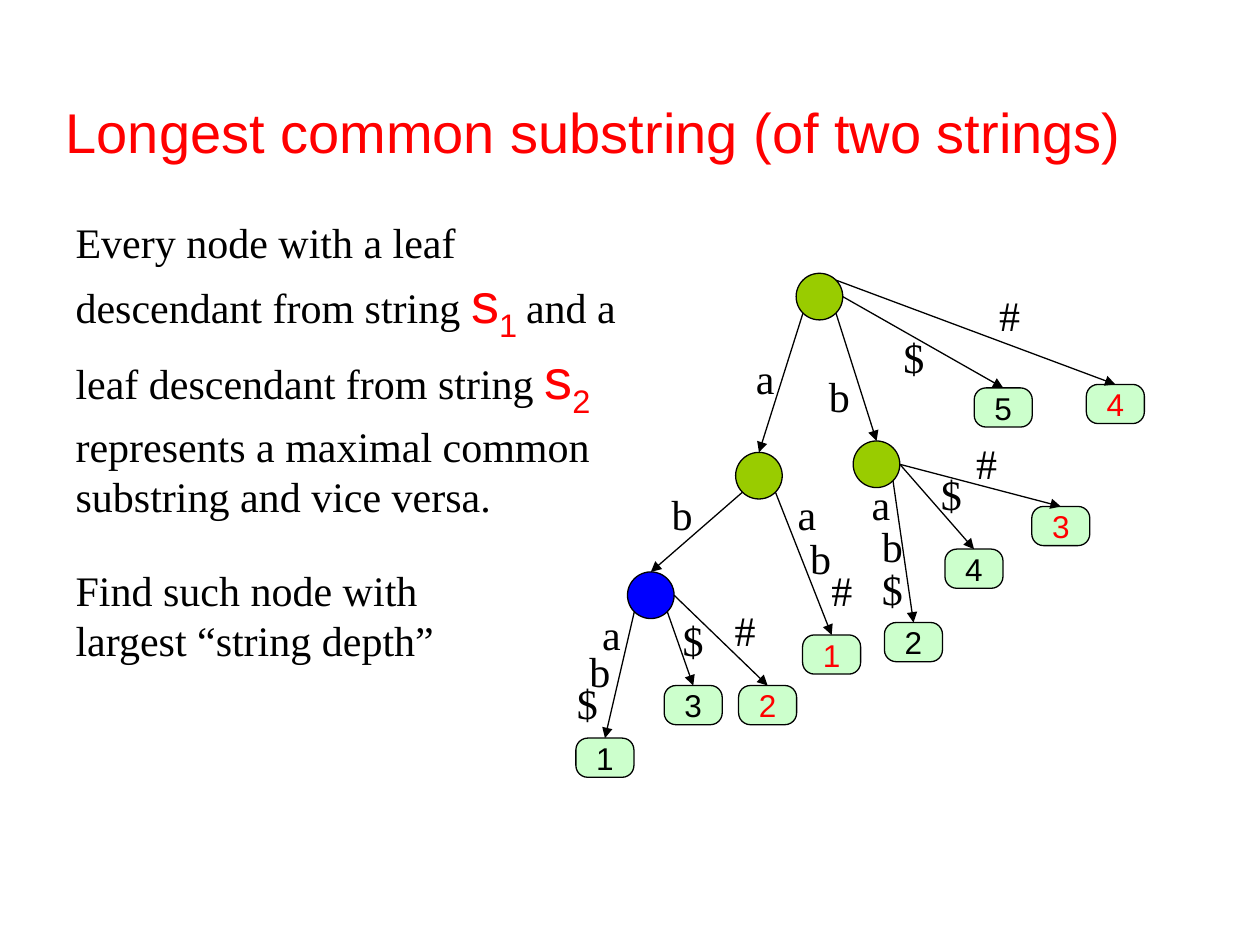
from dataclasses import dataclass
from math import cos, radians, sin

from lxml import etree
from pptx import Presentation
from pptx import util as u
from pptx.dml import color
from pptx.enum import shapes, text
from pptx.oxml import ns


@dataclass(frozen=True)
class Theme:
    sans: str = "Arial"
    serif: str = "Times New Roman"
    ink: str = "000000"
    accent: str = "FF0000"
    inner: str = "99CC00"
    deepest: str = "0000FF"
    leaf: str = "CCFFCC"
    title_size: int = 32
    body_size: int = 24
    leaf_size: int = 18
    line_width: float = 0.75


@dataclass(frozen=True)
class Box:
    left: float
    top: float
    width: float
    height: float

    def inside(self, left, top, width, height):
        return Box(self.left + left, self.top + top, width, height)

    def lengths(self):
        return [u.Cm(value) for value in (self.left, self.top, self.width, self.height)]


THEME = Theme()
NODE_SIZE = 0.94
LEAF_WIDTH, LEAF_HEIGHT = 1.17, 0.79
LABEL_WIDTH, LABEL_HEIGHT = 1.07, 1.27
RIGHT, LOWER_RIGHT, LOWER_LEFT, UPPER_RIGHT = 0, 45, 135, -45

INNER_NODES = {
    "root": (4.67, 0, THEME.inner),
    "a": (3.45, 3.61, THEME.inner),
    "b": (5.82, 3.38, THEME.inner),
    "ab": (1.27, 6.02, THEME.deepest),
}
LEAVES = {
    "abab$": (0.23, 9.37, "1", THEME.ink),
    "ab$": (2.01, 8.31, "3", THEME.ink),
    "ab#": (3.51, 8.31, "2", THEME.accent),
    "aab#": (4.8, 7.29, "1", THEME.accent),
    "bab$": (6.45, 7.04, "2", THEME.ink),
    "b$": (7.67, 5.56, "4", THEME.ink),
    "b#": (9.42, 4.7, "3", THEME.accent),
    "$": (8.26, 2.31, "5", THEME.ink),
    "#": (10.52, 2.24, "4", THEME.accent),
}
EDGES = [
    ("root", LOWER_LEFT, "a", [("a", 3.61, 1.47)]),
    ("root", LOWER_RIGHT, "b", [("b", 5.08, 1.83)]),
    ("root", RIGHT, "$", [("$", 6.58, 1.04)]),
    ("root", UPPER_RIGHT, "#", [("#", 8.51, 0.2)]),
    ("a", LOWER_LEFT, "ab", [("b", 1.91, 4.22)]),
    ("a", LOWER_RIGHT, "aab#", [("a", 4.45, 4.22), ("b", 4.7, 5.11), ("#", 5.13, 5.74)]),
    ("b", LOWER_RIGHT, "bab$", [("a", 5.94, 4.01), ("b", 6.15, 4.85), ("$", 6.15, 5.72)]),
    ("b", RIGHT, "b$", [("$", 7.34, 3.81)]),
    ("b", RIGHT, "b#", [("#", 8.05, 3.18)]),
    ("ab", LOWER_LEFT, "abab$", [("a", 0.51, 6.63), ("b", 0.25, 7.37), ("$", 0, 8.03)]),
    ("ab", LOWER_RIGHT, "ab$", [("$", 2.13, 6.76)]),
    ("ab", RIGHT, "ab#", [("#", 3.18, 6.55)]),
]


def rgb(value):
    return color.RGBColor.from_string(value)


def style_run(run, font, size, ink):
    run.font.name = font
    run.font.size = u.Pt(size)
    run.font.color.rgb = rgb(ink)


def place(shape, box):
    shape.left, shape.top, shape.width, shape.height = box.lengths()
    frame = shape.text_frame
    frame.word_wrap = True
    frame.auto_size = text.MSO_AUTO_SIZE.NONE
    frame.vertical_anchor = text.MSO_ANCHOR.TOP


def add_title(slide, box):
    place(slide.shapes.title, box)
    frame = slide.shapes.title.text_frame
    frame.text = "Longest common substring (of two strings)"
    frame.paragraphs[0].alignment = text.PP_ALIGN.LEFT
    style_run(frame.paragraphs[0].runs[0], THEME.sans, THEME.title_size, THEME.accent)


def add_body(placeholder, box, paragraphs):
    place(placeholder, box)
    frame = placeholder.text_frame
    for index, pieces in enumerate(paragraphs):
        paragraph = frame.add_paragraph() if index else frame.paragraphs[0]
        paragraph.space_before = u.Pt(0)
        properties = paragraph._p.get_or_add_pPr()
        properties.set("marL", "0")
        properties.set("indent", "0")
        etree.SubElement(properties, ns.qn("a:buNone"))
        for piece, kind in pieces:
            run = paragraph.add_run()
            run.text = piece
            if kind == "plain":
                style_run(run, THEME.serif, THEME.body_size, THEME.ink)
            else:
                style_run(run, THEME.sans, THEME.title_size, THEME.accent)
            if kind == "subscript":
                run.font._element.set("baseline", "-25000")


def add_outlined(slide, kind, box, fill):
    shape = slide.shapes.add_shape(kind, *box.lengths())
    shape.shadow.inherit = False
    shape.fill.solid()
    shape.fill.fore_color.rgb = rgb(fill)
    shape.line.color.rgb = rgb(THEME.ink)
    shape.line.width = u.Pt(THEME.line_width)
    return shape


def add_leaf(slide, box, number, ink):
    shape = add_outlined(slide, shapes.MSO_SHAPE.ROUNDED_RECTANGLE, box, THEME.leaf)
    shape.adjustments[0] = 0.3
    frame = shape.text_frame
    frame.text = number
    frame.word_wrap = False
    frame.vertical_anchor = text.MSO_ANCHOR.MIDDLE
    frame.paragraphs[0].alignment = text.PP_ALIGN.CENTER
    style_run(frame.paragraphs[0].runs[0], THEME.sans, THEME.leaf_size, ink)


def add_arrow(slide, parent, angle, child):
    radius = NODE_SIZE / 2
    start_x = parent.left + radius * (1 + cos(radians(angle)))
    start_y = parent.top + radius * (1 + sin(radians(angle)))
    ends = (start_x, start_y, child.left + child.width / 2, child.top)
    connector = slide.shapes.add_connector(
        shapes.MSO_CONNECTOR.STRAIGHT, *[u.Cm(value) for value in ends])
    connector.line.color.rgb = rgb(THEME.ink)
    connector.line.width = u.Pt(THEME.line_width)
    etree.SubElement(connector.line._get_or_add_ln(), ns.qn("a:tailEnd"), type="triangle")
    etree.SubElement(connector._element.spPr, ns.qn("a:effectLst"))


def add_label(slide, box, letter):
    shape = slide.shapes.add_textbox(*box.lengths())
    shape.text_frame.word_wrap = True
    shape.text_frame.text = letter
    style_run(shape.text_frame.paragraphs[0].runs[0], THEME.serif, THEME.body_size, THEME.ink)


def add_suffix_tree(slide, box):
    places = {}
    for name, (left, top, fill) in INNER_NODES.items():
        places[name] = box.inside(left, top, NODE_SIZE, NODE_SIZE)
        add_outlined(slide, shapes.MSO_SHAPE.OVAL, places[name], fill)
    for name, (left, top, number, ink) in LEAVES.items():
        places[name] = box.inside(left, top, LEAF_WIDTH, LEAF_HEIGHT)
        add_leaf(slide, places[name], number, ink)
    for parent, angle, child, labels in EDGES:
        add_arrow(slide, places[parent], angle, places[child])
        for letter, left, top in labels:
            add_label(slide, box.inside(left, top, LABEL_WIDTH, LABEL_HEIGHT), letter)


def main():
    presentation = Presentation()
    presentation.slide_width, presentation.slide_height = u.Cm(25.4), u.Cm(19.05)
    slide = presentation.slides.add_slide(presentation.slide_layouts.get_by_name("Two Content"))
    add_title(slide, Box(1.07, 1.83, 23.5, 1.63))
    add_body(slide.placeholders[1], Box(1.27, 4.24, 11.86, 6.4), [
        [("Every node with a leaf descendant from string ", "plain"),
         ("s", "symbol"), ("1 ", "subscript"),
         ("and a leaf descendant from string ", "plain"),
         ("s", "symbol"), ("2", "subscript")],
        [("represents a maximal common substring and vice versa.", "plain")],
    ])
    add_body(slide.placeholders[2], Box(1.27, 11.25, 9.32, 2.29), [
        [("Find such node with largest “string depth”", "plain")],
    ])
    add_suffix_tree(slide, Box(11.38, 5.51, 11.69, 10.16))
    presentation.save("out.pptx")


if __name__ == "__main__":
    main()
